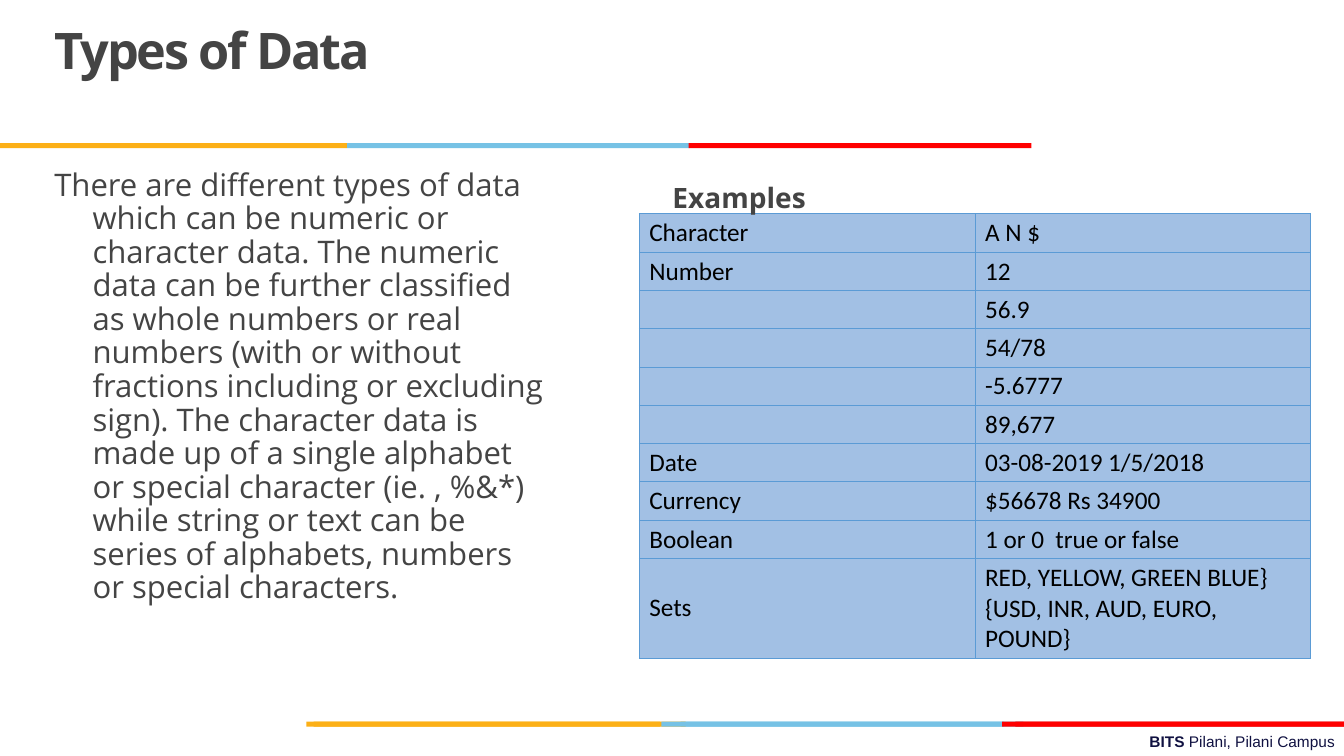
from dataclasses import dataclass

from lxml import etree
from pptx import Presentation
from pptx.dml.color import RGBColor
from pptx.enum.shapes import MSO_SHAPE
from pptx.enum.text import MSO_ANCHOR, MSO_AUTO_SIZE, PP_ALIGN
from pptx.oxml.ns import qn
from pptx.util import Inches, Pt

RECTANGLE = MSO_SHAPE.RECTANGLE
TOP, MIDDLE = MSO_ANCHOR.TOP, MSO_ANCHOR.MIDDLE
LEFT, RIGHT = PP_ALIGN.LEFT, PP_ALIGN.RIGHT
NO_AUTOFIT = MSO_AUTO_SIZE.NONE

AMBER = RGBColor(0xFC, 0xB0, 0x17)
SKY = RGBColor(0x76, 0xC2, 0xE5)
CRIMSON = RGBColor(0xE3, 0x1C, 0x24)
RED = RGBColor(0xFF, 0x00, 0x00)
GREY = RGBColor(0x44, 0x44, 0x44)
NAVY = RGBColor(0x10, 0x11, 0x41)
BLACK = RGBColor(0x00, 0x00, 0x00)
CELL_BLUE = RGBColor(0xA2, 0xC0, 0xE4)
BORDER_BLUE = RGBColor(0x5B, 0x9B, 0xD5)

BAND_HEIGHT = 0.05
TITLE_STRIP_TOP, LOWER_STRIP_TOP = 1.42, 7.16
ROW_HEIGHT, LAST_ROW_HEIGHT = 0.38, 0.99
COLUMN_WIDTH = 3.33

BODY = (
    "There are different types of data which can be numeric or character data. "
    "The numeric data can be further classified as whole numbers or real numbers "
    "(with or without fractions including or excluding sign). The character data "
    "is made up of a single alphabet or special character (ie. , %&*) while string "
    "or text can be series of alphabets, numbers or special characters."
)

EXAMPLES = [
    ("Character", "A N $"),
    ("Number", "12"),
    ("", "56.9"),
    ("", "54/78"),
    ("", "-5.6777"),
    ("", "89,677"),
    ("Date", "03-08-2019 1/5/2018"),
    ("Currency", "$56678 Rs 34900"),
    ("Boolean", "1 or 0  true or false"),
    ("Sets", "RED, YELLOW, GREEN BLUE} {USD, INR, AUD, EURO, POUND}"),
]


@dataclass
class Band:
    left: float
    top: float
    width: float
    color: RGBColor


BANDS = [
    # Lower strip, back layer
    Band(6.75, LOWER_STRIP_TOP, 3.4, SKY),
    Band(10.07, LOWER_STRIP_TOP, 3.26, CRIMSON),
    Band(3.04, LOWER_STRIP_TOP, 3.76, AMBER),
    # Lower strip, front layer
    Band(6.56, LOWER_STRIP_TOP, 3.4, SKY),
    Band(3.11, LOWER_STRIP_TOP, 3.44, AMBER),
    Band(9.94, LOWER_STRIP_TOP, 3.4, RED),
    # Strip under the title
    Band(3.44, TITLE_STRIP_TOP, 3.4, SKY),
    Band(0, TITLE_STRIP_TOP, 3.44, AMBER),
    Band(6.83, TITLE_STRIP_TOP, 3.4, RED),
]


def set_attributes(target, values: dict) -> None:
    for name, value in values.items():
        setattr(target, name, value)


def add_run(paragraph, text: str, size: float, family: str, color: RGBColor, bold: bool = False):
    run = paragraph.add_run()
    run.text = text
    set_attributes(run.font, {"size": Pt(size), "name": family, "bold": bold})
    run.font.color.rgb = color
    return run


def add_text_box(slide, left: float, top: float, width: float, height: float, frame_values: dict):
    text_box = slide.shapes.add_textbox(Inches(left), Inches(top), Inches(width), Inches(height))
    set_attributes(text_box.text_frame, frame_values)
    return text_box.text_frame.paragraphs[0]


def add_band(slide, band: Band) -> None:
    shape = slide.shapes.add_shape(
        RECTANGLE, Inches(band.left), Inches(band.top), Inches(band.width), Inches(BAND_HEIGHT)
    )
    shape.shadow.inherit = False
    shape.fill.solid()
    shape.fill.fore_color.rgb = band.color
    shape.line.fill.background()


def add_borders(cell) -> None:
    properties = cell._tc.get_or_add_tcPr()
    for position, side in enumerate(("lnL", "lnR", "lnT", "lnB")):
        line = etree.Element(qn(f"a:{side}"), w=str(Pt(0.5)))
        fill = etree.SubElement(line, qn("a:solidFill"))
        etree.SubElement(fill, qn("a:srgbClr"), val=str(BORDER_BLUE))
        properties.insert(position, line)


def add_examples_table(slide) -> None:
    height = ROW_HEIGHT * (len(EXAMPLES) - 1) + LAST_ROW_HEIGHT
    table = slide.shapes.add_table(
        len(EXAMPLES), 2, Inches(6.34), Inches(2.12), Inches(2 * COLUMN_WIDTH), Inches(height)
    ).table
    set_attributes(table, {"first_row": False, "horz_banding": False})
    for column in table.columns:
        column.width = Inches(COLUMN_WIDTH)
    for row in table.rows:
        row.height = Inches(ROW_HEIGHT)
    table.rows[len(EXAMPLES) - 1].height = Inches(LAST_ROW_HEIGHT)

    cell_values = {
        "vertical_anchor": MIDDLE,
        "margin_left": Inches(0.1),
        "margin_right": Inches(0.07),
        "margin_top": Inches(0.04),
        "margin_bottom": Inches(0.04),
    }
    for row_index, example in enumerate(EXAMPLES):
        for column_index, text in enumerate(example):
            cell = table.cell(row_index, column_index)
            set_attributes(cell, cell_values)
            cell.fill.solid()
            cell.fill.fore_color.rgb = CELL_BLUE
            add_borders(cell)
            if text:
                add_run(cell.text_frame.paragraphs[0], text, 18, "Calibri", BLACK)


def add_title(slide) -> None:
    title = slide.shapes.title
    set_attributes(title, {
        "left": Inches(0.44), "top": Inches(0.17), "width": Inches(9.22), "height": Inches(1.25),
    })
    set_attributes(title.text_frame, {
        "vertical_anchor": TOP, "margin_top": Inches(0.12),
        "auto_size": NO_AUTOFIT, "word_wrap": True,
    })
    paragraph = title.text_frame.paragraphs[0]
    set_attributes(paragraph, {"alignment": LEFT, "line_spacing": Pt(36), "space_before": Pt(0)})
    run = add_run(paragraph, "Types of Data", 36, "Open Sans", GREY, True)
    run.font._element.set("spc", "-150")


def main() -> None:
    presentation = Presentation()
    presentation.slide_width = Inches(13.33)
    presentation.slide_height = Inches(7.5)
    slide = presentation.slides.add_slide(presentation.slide_layouts[5])

    # Footer and coloured strips
    footer = add_text_box(slide, 4.78, 7.21, 8.56, 0.29, {"word_wrap": True})
    footer.alignment = RIGHT
    add_run(footer, "BITS ", 11, "Arial", NAVY, True)
    add_run(footer, "Pilani, Pilani Campus", 11, "Arial", NAVY)
    for band in BANDS:
        add_band(slide, band)

    # Explanation with a hanging indent
    body = add_text_box(slide, 0.44, 1.63, 5.07, 4.73, {"word_wrap": True})
    body_properties = body._p.get_or_add_pPr()
    body_properties.set("marL", str(Inches(0.38)))
    body_properties.set("indent", str(Inches(-0.38)))
    body.line_spacing = 0.9
    add_run(body, BODY, 22.2, "Open Sans", GREY)

    add_title(slide)

    # Examples
    add_examples_table(slide)
    heading = add_text_box(slide, 6.67, 1.79, 1.34, 0.34, {
        "word_wrap": False, "vertical_anchor": MIDDLE,
        "margin_left": 0, "margin_right": 0, "margin_top": 0, "margin_bottom": 0,
    })
    add_run(heading, "Examples", 20, "Open Sans", GREY, True)

    presentation.save("out.pptx")


if __name__ == "__main__":
    main()
